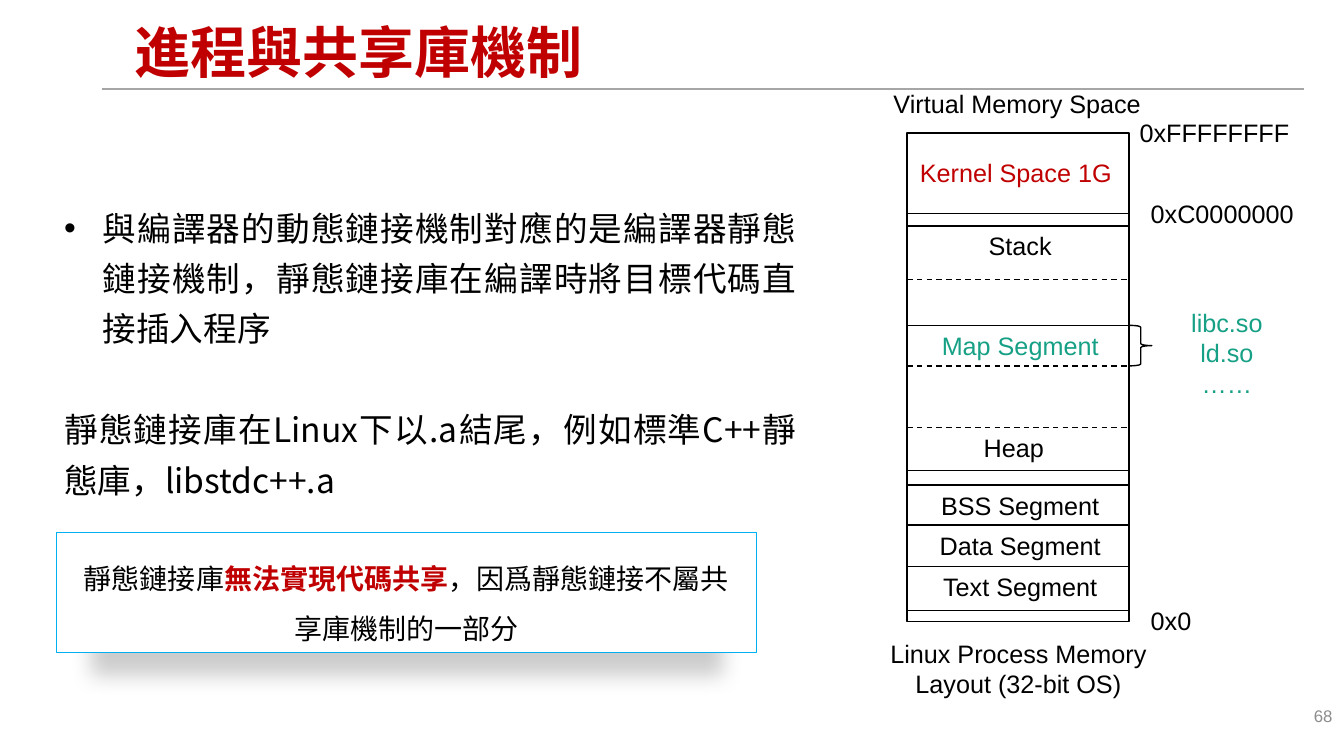
"""Build the slide on processes, shared libraries and the Linux memory layout."""
from lxml import etree
from pptx import Presentation
from pptx.dml.color import RGBColor
from pptx.enum.dml import MSO_LINE
from pptx.enum.shapes import MSO_CONNECTOR, MSO_SHAPE
from pptx.enum.text import MSO_ANCHOR, PP_ALIGN
from pptx.oxml.ns import qn
from pptx.util import Cm, Pt

BLACK = RGBColor(0x00, 0x00, 0x00)
WHITE = RGBColor(0xFF, 0xFF, 0xFF)
RED = RGBColor(0xC0, 0x00, 0x00)
GREEN = RGBColor(0x16, 0xA0, 0x85)
SKY = RGBColor(0x00, 0xB0, 0xF0)
RULE_GREY = RGBColor(0xA6, 0xA6, 0xA6)
NUMBER_GREY = RGBColor(0x8C, 0x8C, 0x8C)
LEFT, CENTER, RIGHT, JUSTIFY = PP_ALIGN.LEFT, PP_ALIGN.CENTER, PP_ALIGN.RIGHT, PP_ALIGN.JUSTIFY
TOP, MIDDLE = MSO_ANCHOR.TOP, MSO_ANCHOR.MIDDLE
STRAIGHT, DASH = MSO_CONNECTOR.STRAIGHT, MSO_LINE.DASH
RECTANGLE, BRACE = MSO_SHAPE.RECTANGLE, MSO_SHAPE.RIGHT_BRACE
LATIN, CJK = "Arial", "Noto Sans CJK SC"


def write(paragraph, *pieces, size=18, font=LATIN, color=BLACK, bold=False,
          align=LEFT, spacing=None, before=None):
    """Fill a paragraph with strings or (string, color, bold) pieces."""
    paragraph.alignment = align
    if spacing:
        paragraph.line_spacing = spacing
    if before:
        paragraph.space_before = before
    for piece in pieces:
        words, tint, weight = (piece, color, bold) if isinstance(piece, str) else piece
        run = paragraph.add_run()
        run.text = words
        run.font.size = Pt(size)
        run.font.bold = weight
        run.font.color.rgb = tint
        run.font.name = font
        etree.SubElement(run.font._element, qn("a:ea"), typeface=font)


class Deck:
    """Hold the presentation style and the current slide."""

    def __init__(self, width, height):
        self.presentation = Presentation()
        self.presentation.slide_width = Cm(width)
        self.presentation.slide_height = Cm(height)
        self.slide = self.presentation.slides.add_slide(self.presentation.slide_layouts[6])

    def frame(self, left, top, width, height, anchor=TOP):
        """Add a wrapping text box and return its text frame."""
        box = self.slide.shapes.add_textbox(Cm(left), Cm(top), Cm(width), Cm(height))
        box.text_frame.word_wrap = True
        box.text_frame.vertical_anchor = anchor
        return box.text_frame

    def label(self, left, top, width, height, *lines, anchor=TOP, **style):
        """Add a text box with one paragraph per line."""
        frame = self.frame(left, top, width, height, anchor)
        for index, line in enumerate(lines):
            paragraph = frame.add_paragraph() if index else frame.paragraphs[0]
            write(paragraph, line, **style)

    def line(self, left, right, y, color=BLACK, dash=None):
        """Add a horizontal line."""
        rule = self.slide.shapes.add_connector(STRAIGHT, Cm(left), Cm(y), Cm(right), Cm(y))
        rule.line.color.rgb = color
        rule.line.width = Pt(1)
        if dash:
            rule.line.dash_style = dash
        etree.SubElement(rule._element.spPr, qn("a:effectLst"))

    def shape(self, kind, left, top, width, height, color=BLACK, weight=1, fill=None):
        """Add an outlined preset shape without a shadow."""
        shape = self.slide.shapes.add_shape(kind, Cm(left), Cm(top), Cm(width), Cm(height))
        shape.shadow.inherit = False
        shape.line.color.rgb = color
        shape.line.width = Pt(weight)
        if fill is None:
            shape.fill.background()
        else:
            shape.fill.solid()
            shape.fill.fore_color.rgb = fill
        return shape

    def drop_shadow(self, shape):
        """Give a shape a soft, narrower shadow below it."""
        effects = shape._element.spPr.find(qn("a:effectLst"))
        shadow = etree.SubElement(
            effects, qn("a:outerShdw"), blurRad=str(Pt(15)), dist=str(Pt(20)),
            dir="5400000", sx="90000", sy="90000", algn="ctr", rotWithShape="0")
        tint = etree.SubElement(shadow, qn("a:srgbClr"), val=str(BLACK))
        etree.SubElement(tint, qn("a:alpha"), val="20000")

    def bullet(self, paragraph, indent):
        """Give a paragraph a hanging round bullet."""
        properties = paragraph._p.get_or_add_pPr()
        properties.set("marL", str(Cm(indent)))
        properties.set("indent", str(-Cm(indent)))
        etree.SubElement(properties, qn("a:buFont"), typeface=LATIN)
        etree.SubElement(properties, qn("a:buChar"), char="•")


def add_explanation(deck):
    """Add the title, the body text and the boxed conclusion."""
    deck.line(2.57, 32.87, 2.24, color=RULE_GREY)
    deck.label(3.15, 0.38, 28.4, 2.01, "進程與共享庫機制", anchor=MIDDLE,
               size=40, font=CJK, color=RED, bold=True, spacing=0.9)

    body = deck.frame(1.37, 4.85, 18.95, 7.82)
    body_style = dict(size=24, font=CJK, align=JUSTIFY, spacing=Pt(36))
    linking = body.paragraphs[0]
    deck.bullet(linking, 0.97)
    write(linking, "與編譯器的動態鏈接機制對應的是編譯器靜態鏈接機制，"
          "靜態鏈接庫在編譯時將目標代碼直接插入程序", **body_style)
    write(body.add_paragraph(), "靜態鏈接庫在Linux下以.a結尾，例如標準C++靜態庫，libstdc++.a",
          before=Pt(36), **body_style)

    conclusion_box = deck.shape(RECTANGLE, 1.42, 13.41, 17.65, 3.02,
                                color=SKY, weight=0.5, fill=WHITE)
    deck.drop_shadow(conclusion_box)
    conclusion = deck.frame(1.85, 13.59, 16.79, 2.67)
    write(conclusion.paragraphs[0], "靜態鏈接庫", ("無法實現代碼共享", RED, True),
          "，因爲靜態鏈接不屬共享庫機制的一部分",
          size=20, font=CJK, align=CENTER, spacing=Pt(36))


def add_memory_layout(deck):
    """Add the memory column with its segments, addresses and captions."""
    left, width, row = 22.86, 5.59, 1.02
    deck.shape(RECTANGLE, left, 3.35, width, 12.32)
    for y in (5.38, 5.69, 8.2, 11.86, 12.22, 13.23, 14.27, 15.39):
        deck.line(left, left + width, y)
    for y in (7.04, 9.22, 10.77):
        deck.line(left, left + width, y, dash=DASH)

    segments = [
        ("Kernel Space 1G", 22.83, 3.84, RED),
        ("Stack", 22.94, 5.69, BLACK),
        ("Map Segment", 22.94, 8.2, GREEN),
        ("Heap", 22.78, 10.77, BLACK),
        ("BSS Segment", 22.94, 12.22, BLACK),
        ("Data Segment", 22.94, 13.23, BLACK),
        ("Text Segment", 22.94, 14.27, BLACK),
    ]
    for segment, x, y, color in segments:
        deck.label(x, y, 5.54, row, segment, color=color, align=CENTER)

    for address, x, y in (("0xFFFFFFFF", 28.47, 2.84), ("0xC0000000", 28.75, 4.88),
                          ("0x0", 28.75, 15.14)):
        deck.label(x, y, 4.34, row, address)

    deck.label(22.23, 2.11, 6.81, row, "Virtual Memory Space", align=CENTER)
    deck.label(21.26, 15.95, 8.81, 1.8, "Linux Process Memory Layout (32-bit OS)", align=CENTER)
    deck.label(28.75, 7.62, 4.34, 2.57, "libc.so", "ld.so", "……", color=GREEN, align=CENTER)
    deck.shape(BRACE, 28.47, 8.2, 0.56, row)


def main():
    """Build and save the slide."""
    deck = Deck(33.87, 19.05)
    add_explanation(deck)
    add_memory_layout(deck)
    deck.label(25.93, 17.65, 7.9, 1.02, "68", size=12, color=NUMBER_GREY, align=RIGHT)
    deck.presentation.save("out.pptx")


if __name__ == "__main__":
    main()
